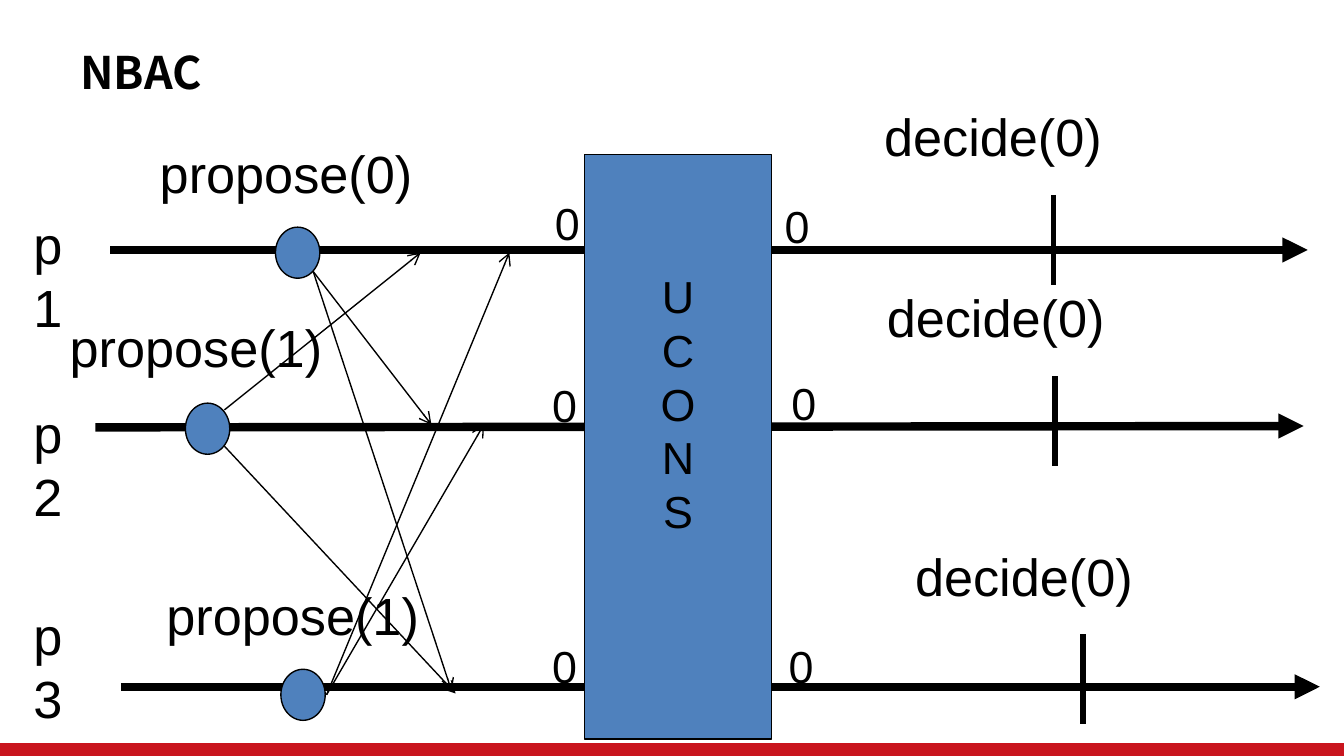
"""Build the NBAC slide: three process timelines around a consensus block."""
import dataclasses

import pptx
import pptx.dml.color
import pptx.enum.shapes
import pptx.enum.text
import pptx.oxml
import pptx.oxml.ns
import pptx.util
from pptx.util import Inches


@dataclasses.dataclass(frozen=True)
class Theme:
    """Colours, fonts and point sizes of the slide."""
    ink: str = "000000"
    blue: str = "4F81BD"
    red: str = "C9151E"
    body_font: str = "Arial"
    title_font: str = "Noto Sans CJK SC"
    label: int = 28
    small: int = 24
    axis: float = 4.5
    tick: float = 3
    thin: float = 0.75


T = Theme()
SHAPE = pptx.enum.shapes.MSO_SHAPE
ANCHOR = pptx.enum.text.MSO_ANCHOR
ALIGN = pptx.enum.text.PP_ALIGN


def rgb(value):
    """Turn a hex string into a colour."""
    return pptx.dml.color.RGBColor.from_string(value)


def add_run(p, text, size, font=T.body_font, bold=False):
    """Append one styled run to a paragraph."""
    r = p.add_run()
    r.text = text
    r.font.size = pptx.util.Pt(size)
    r.font.name = font
    r.font.bold = bold
    r.font.color.rgb = rgb(T.ink)


def add_text(s, text, x, y, w, h, size=T.label):
    """Add a left-aligned label in a text box."""
    tf = s.shapes.add_textbox(Inches(x), Inches(y), Inches(w), Inches(h)).text_frame
    tf.word_wrap = True
    add_run(tf.paragraphs[0], text, size)


def add_title(s, text):
    """Add the bold slide title."""
    tf = s.shapes.add_textbox(Inches(0.5), Inches(0.29), Inches(6.96), Inches(0.49)).text_frame
    tf.word_wrap = True
    tf.margin_top = tf.margin_bottom = 0
    tf.vertical_anchor = ANCHOR.MIDDLE
    add_run(tf.paragraphs[0], text, T.small, T.title_font, True)


def add_shape(s, kind, x, y, w, h, fill, outlined=True):
    """Add a flat filled shape, outlined unless told otherwise."""
    sp = s.shapes.add_shape(kind, Inches(x), Inches(y), Inches(w), Inches(h))
    sp.shadow.inherit = False
    sp.fill.solid()
    sp.fill.fore_color.rgb = rgb(fill)
    if outlined:
        sp.line.color.rgb = rgb(T.ink)
        sp.line.width = pptx.util.Pt(T.thin)
    else:
        sp.line.fill.background()
    return sp


def add_line(s, start, end, width, head=None):
    """Add a straight line with an optional arrowhead at its end."""
    sp = s.shapes.add_connector(pptx.enum.shapes.MSO_CONNECTOR.STRAIGHT,
                                *map(Inches, start + end))
    sp.line.color.rgb = rgb(T.ink)
    sp.line.width = pptx.util.Pt(width)
    if head:
        tail = pptx.oxml.parse_xml(f'<a:tailEnd {pptx.oxml.ns.nsdecls("a")} type="{head}"/>')
        sp.line._get_or_add_ln().append(tail)
    effects = pptx.oxml.parse_xml(f'<a:effectLst {pptx.oxml.ns.nsdecls("a")}/>')
    sp._element.spPr.append(effects)


def add_process(s, name, name_y, start, end, node, proposal, tick, decide):
    """Add one process: axis, name, proposal node and decision tick."""
    add_line(s, start, end, T.axis, "triangle")
    add_text(s, name, 0.15, name_y, 0.59, 0.57)
    add_shape(s, SHAPE.OVAL, *node, 0.33, 0.38, T.blue)
    value, x, y = proposal
    add_text(s, f"propose({value})", x, y, 3.08, 0.57)
    x, y = tick
    add_line(s, tick, (x, y + 0.67), T.tick)
    add_text(s, "decide(0)", *decide, 3.08, 0.57)


def add_block(s, word):
    """Add the consensus block with its name set one letter per line."""
    tf = add_shape(s, SHAPE.RECTANGLE, 4.35, 1.15, 1.39, 4.35, T.blue).text_frame
    tf.word_wrap = True
    tf.vertical_anchor = ANCHOR.TOP
    tf.margin_top = Inches(0.85)
    for i, letter in enumerate(word):
        p = tf.add_paragraph() if i else tf.paragraphs[0]
        p.alignment = ALIGN.CENTER
        add_run(p, letter, T.small)


def main():
    """Build and save the slide."""
    prs = pptx.Presentation()
    prs.slide_width = Inches(10)
    prs.slide_height = prs.slide_width * 9 // 16
    s = prs.slides.add_slide(prs.slide_layouts[6])
    add_shape(s, SHAPE.RECTANGLE, 0, 5.53, 10, 0.1, T.red, outlined=False)
    add_title(s, "NBAC")

    processes = [
        ("p1", 1.53, (0.82, 1.86), (9.73, 1.86), (2.05, 1.69),
         (0, 1.09, 1), (7.84, 1.45), (6.48, 0.73)),
        ("p2", 2.94, (0.71, 3.18), (9.7, 3.17), (1.38, 3),
         (1, 0.42, 2.3), (7.85, 2.8), (6.5, 2.07)),
        ("p3", 4.44, (0.9, 5.11), (9.82, 5.11), (2.09, 4.98),
         (1, 1.14, 4.29), (8.06, 4.72), (6.71, 4)),
    ]
    for process in processes:
        add_process(s, *process)

    messages = {
        (2.33, 2.02): [(3.21, 3.16), (3.36, 5.14)],
        (1.67, 3.05): [(3.13, 1.88)],
        (1.67, 3.32): [(3.39, 5.16)],
        (2.43, 5.17): [(3.79, 1.88), (3.6, 3.16)],
    }
    for start, ends in messages.items():
        for end in ends:
            add_line(s, start, end, T.thin, "arrow")

    values = [(4.03, 1.41), (5.74, 1.43), (4.01, 2.76),
              (5.79, 2.75), (4.01, 4.7), (5.77, 4.7)]
    for x, y in values:
        add_text(s, "0", x, y, 0.34, 0.4, T.small)
    add_block(s, "UCONS")
    prs.save("out.pptx")


if __name__ == "__main__":
    main()
